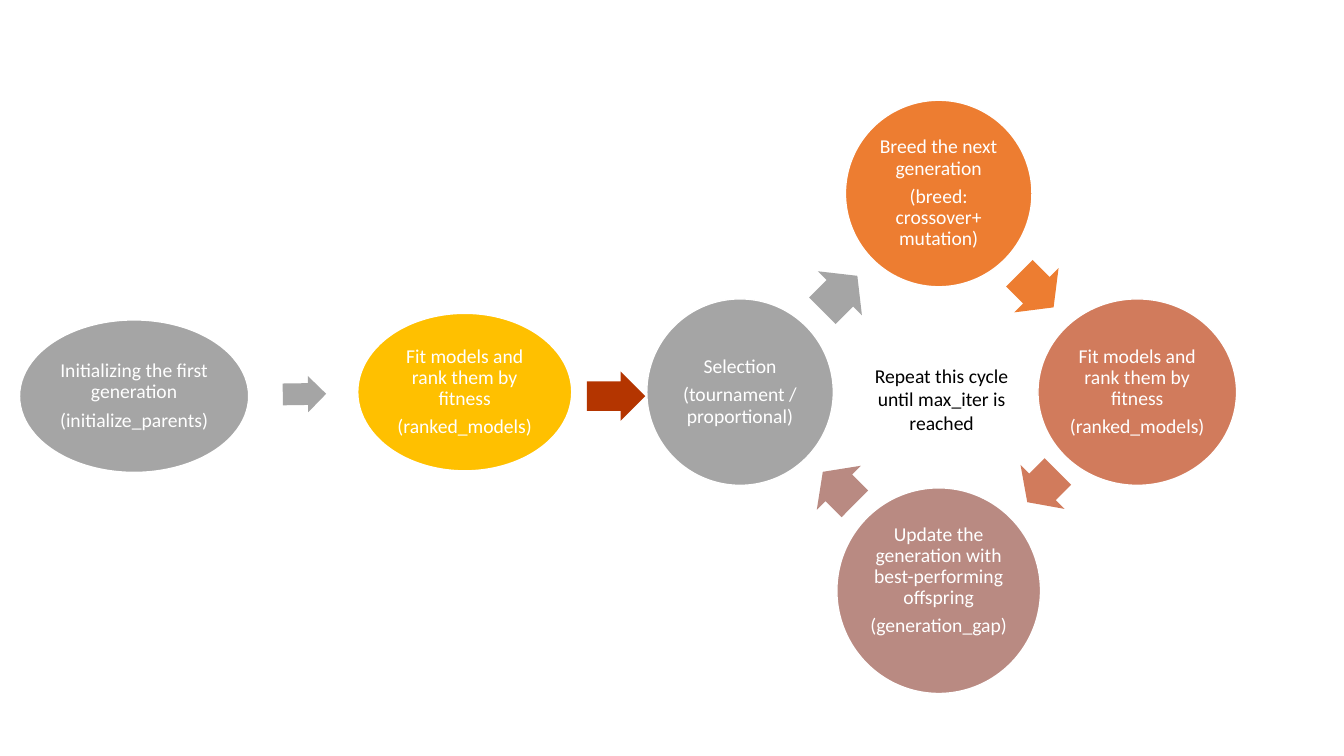
from pptx import Presentation, util as u
from pptx.dml.color import RGBColor
from pptx.enum import shapes, text

WHITE = RGBColor(0xFF, 0xFF, 0xFF)
BLACK = RGBColor(0, 0, 0)
GRAY = RGBColor(0xA5, 0xA5, 0xA5)
YELLOW = RGBColor(0xFF, 0xC0, 0x00)
RED = RGBColor(0xB4, 0x35, 0x00)
ORANGE = RGBColor(0xED, 0x7D, 0x31)
CORAL = RGBColor(0xD1, 0x7B, 0x5C)
MAUVE = RGBColor(0xB9, 0x8A, 0x82)

WIDTH, HEIGHT = 13.33, 7.5
CYCLE_X, CYCLE_Y, RADIUS = 9.31, 3.89, 1.97
DIRECTIONS = [(0, -1), (1, 0), (0, 1), (-1, 0)]

# stage: lines, colour, size, bottom inset; arrow: offset from cycle centre, length
CYCLE = [
    (["Breed the next generation", "(breed: crossover+ mutation)"],
     ORANGE, (1.85, 1.85), 0.02, (0.97, -1.01), 0.48),
    (["Fit models and rank them by fitness", "(ranked_models)"],
     CORAL, (1.97, 1.85), 0.02, (1.03, 0.94), 0.43),
    (["Update the generation with best-performing offspring", "(generation_gap)"],
     MAUVE, (2.02, 2.04), 0.22, (-0.99, 0.95), 0.45),
    (["Selection", "(tournament / proportional)"],
     GRAY, (1.85, 1.85), 0.02, (-0.98, -0.98), 0.49),
]
START = [
    (["Initializing the first generation", "(initialize_parents)"],
     GRAY, (1.33, 3.93), (2.28, 1.52)),
    (["Fit models and rank them by fitness", "(ranked_models)"],
     YELLOW, (4.61, 3.89), (2.13, 1.57)),
]
START_ARROWS = [
    (GRAY, (3.02, 3.91), (0.43, 0.36), -0.8),
    (RED, (6.11, 3.93), (0.58, 0.49), 0),
]
REPEAT = ["Repeat this cycle until max_iter is reached"]

presentation = Presentation()
presentation.slide_width = u.Inches(WIDTH)
presentation.slide_height = u.Inches(HEIGHT)
slide = presentation.slides.add_slide(presentation.slide_layouts[6])


def add_centred(kind, centre, size, fill, outline=0):
    (x, y), (width, height) = centre, size
    shape = slide.shapes.add_shape(
        kind, u.Inches(x - width / 2), u.Inches(y - height / 2),
        u.Inches(width), u.Inches(height))
    shape.shadow.inherit = False
    if fill is None:
        shape.fill.background()
    else:
        shape.fill.solid()
        shape.fill.fore_color.rgb = fill
    if outline:
        shape.line.color.rgb = WHITE
        shape.line.width = u.Pt(outline)
    else:
        shape.line.fill.background()
    return shape


def add_stage(lines, centre, size, fill, outline, inset, bottom,
              color=WHITE, line_spacing=0.9, space_after=5):
    shape = add_centred(shapes.MSO_SHAPE.OVAL, centre, size, fill, outline)
    frame = shape.text_frame
    frame.word_wrap = True
    frame.vertical_anchor = text.MSO_ANCHOR.MIDDLE
    frame.margin_left = frame.margin_right = frame.margin_top = u.Inches(inset)
    frame.margin_bottom = u.Inches(bottom)
    for index, line in enumerate(lines):
        paragraph = frame.paragraphs[0] if index == 0 else frame.add_paragraph()
        paragraph.text = line
        paragraph.alignment = text.PP_ALIGN.CENTER
        paragraph.line_spacing = line_spacing
        paragraph.space_after = u.Pt(space_after)
        paragraph.font.name = "Calibri"
        paragraph.font.size = u.Pt(14)
        paragraph.font.color.rgb = color


def add_arrow(centre, size, fill, rotation):
    arrow = add_centred(shapes.MSO_SHAPE.RIGHT_ARROW, centre, size, fill)
    arrow.adjustments[0] = 0.6
    arrow.adjustments[1] = 0.5
    arrow.rotation = rotation


for index, (lines, fill, size, bottom, offset, length) in enumerate(CYCLE):
    dx, dy = DIRECTIONS[index]
    centre = (CYCLE_X + RADIUS * dx, CYCLE_Y + RADIUS * dy)
    add_stage(lines, centre, size, fill, 1, 0.02, bottom)
    add_arrow((CYCLE_X + offset[0], CYCLE_Y + offset[1]), (length, 0.62),
              fill, 45 + 90 * index)

add_stage(REPEAT, (9.34, 3.93), (2.23, 1.75), None, 0, 0.1, 0.05,
          BLACK, 1, 0)

for lines, fill, centre, size in START:
    add_stage(lines, centre, size, fill, 1.5, 0.06, 0.06)
for fill, centre, size, rotation in START_ARROWS:
    add_arrow(centre, size, fill, rotation)

presentation.save("out.pptx")
